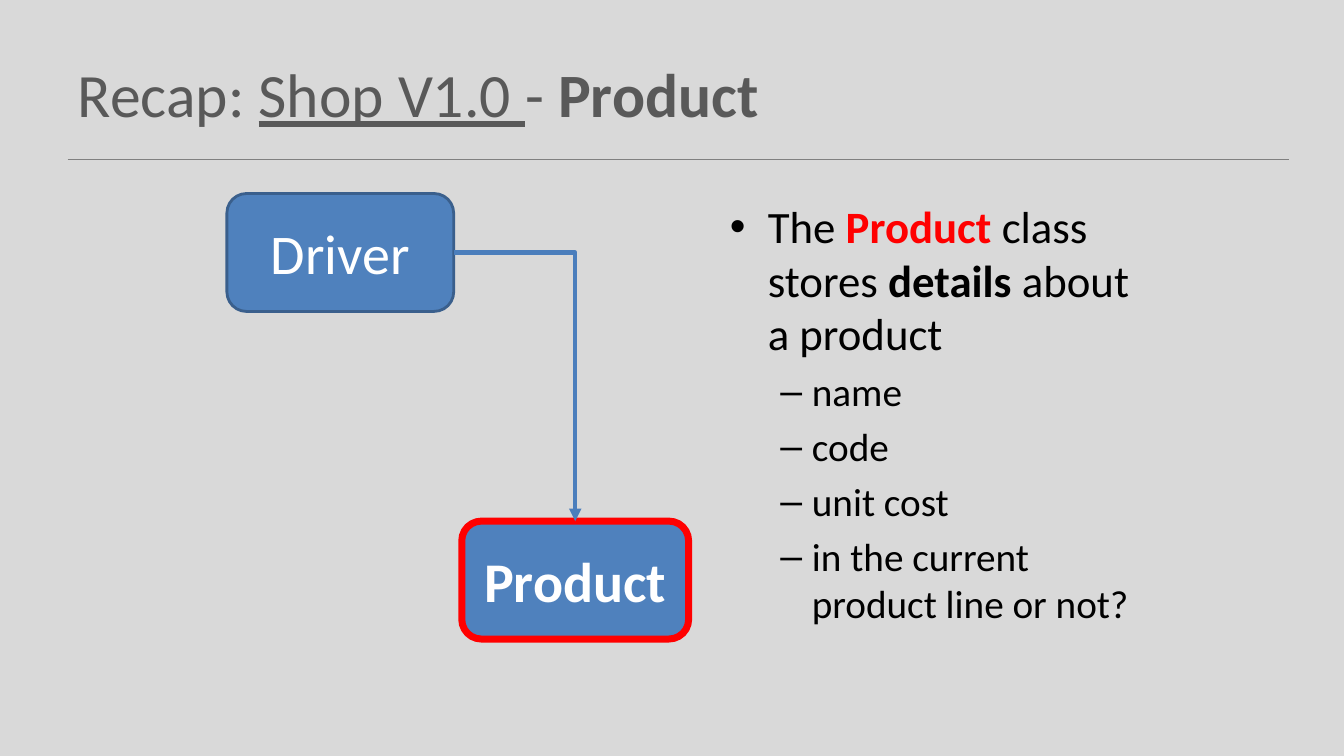
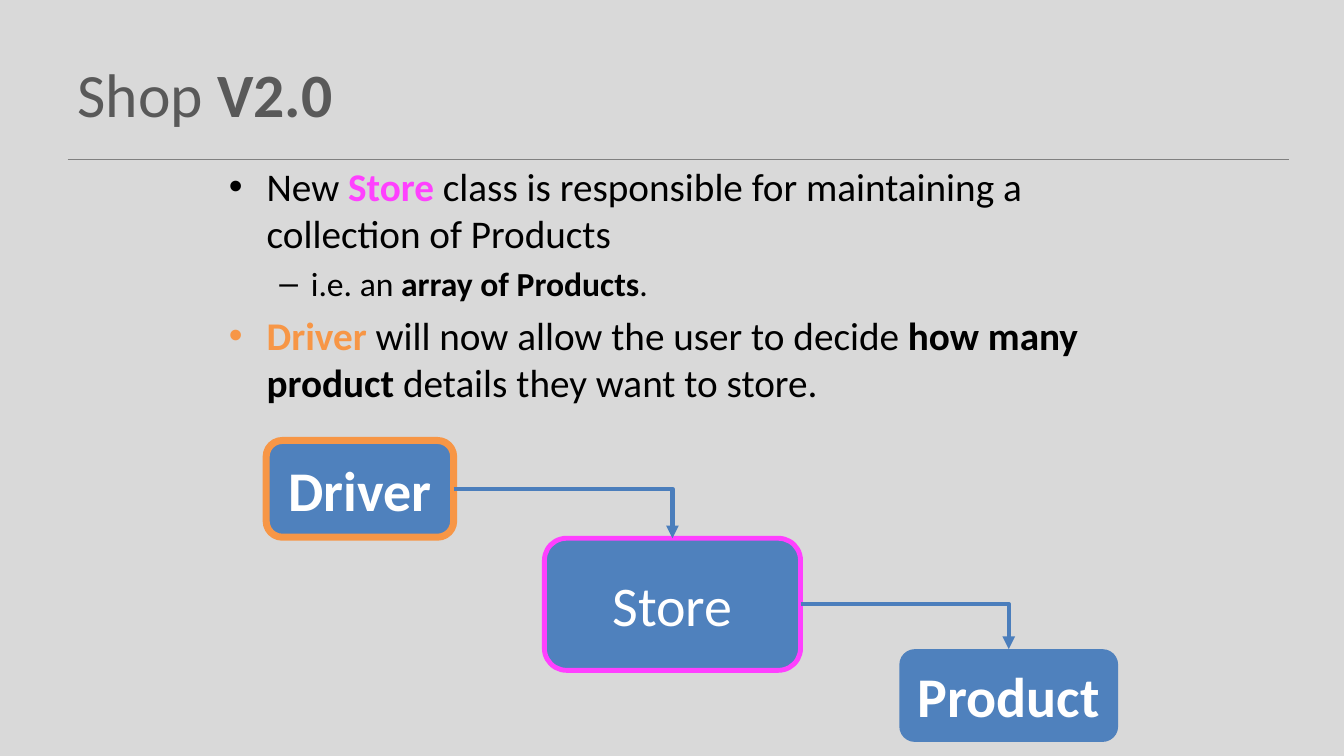
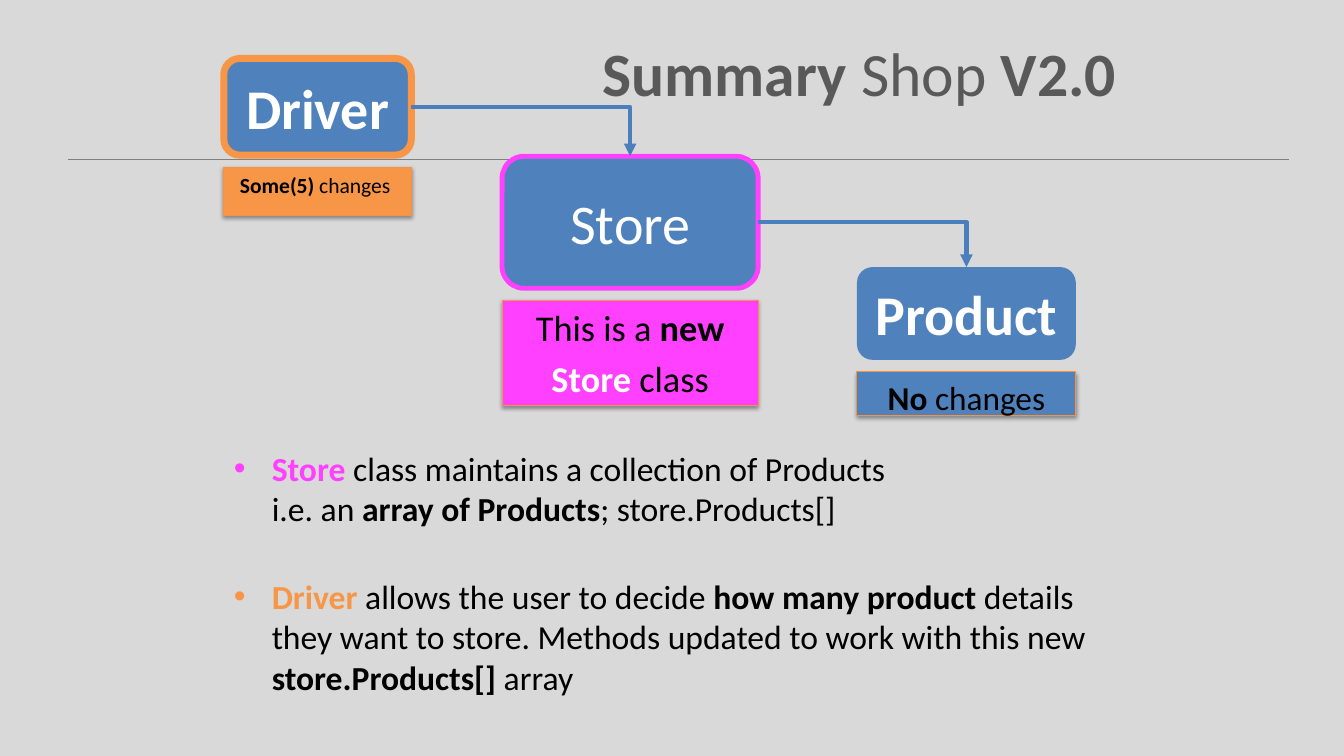
import pptx
import pptx.util
import pptx.dml.color
import pptx.enum.shapes
import pptx.enum.text
import pptx.oxml
import pptx.oxml.ns

Inches, Pt = pptx.util.Inches, pptx.util.Pt
ALIGN = pptx.enum.text.PP_ALIGN
ANCHOR = pptx.enum.text.MSO_ANCHOR
SHAPE = pptx.enum.shapes.MSO_SHAPE
CONNECTOR = pptx.enum.shapes.MSO_CONNECTOR

# Shared look
FONT = "Calibri"
BACKGROUND, RULE, TITLE = "D9D9D9", "808080", "595959"
BLUE, ARROW, OUTLINE = "4F81BD", "4B7EBC", "3A5F8C"
RED, PINK, ORANGE, NOTE_LINE = "FF0000", "FF40FF", "F79646", "F69240"
BLACK, WHITE = "000000", "FFFFFF"
TITLE_AREA = (0.67, 0.3, 12, 1.25)
NOTE_GAP = 0.12
RIGHT_SITE, TOP_SITE = 3, 0

# Content: a run is a string or (text, flags, colour); "\n" is a line break.
# A class box is: name, area, bold, outline colour, outline width.
CHAIN = [
    ("Driver", (0, 0, 1.86, 0.96), True, ORANGE, 5),
    ("Store", (2.76, 0.97, 2.54, 1.31), False, PINK, 3.5),
    ("Product", (6.28, 2.07, 2.17, 0.92), True, None, 0),
]

SLIDES = [
    dict(
        title=["Recap: ", ("Shop V1.0 ", "u"), "- ", ("Product", "b")],
        body_area=(7.14, 1.92, 4.17, 4.95),
        # level, size, space before, runs
        body=[
            (0, 32, 0, ["The ", ("Product", "b", RED), " class stores ",
                        ("details", "b"), " about a product"]),
            (1, 28, None, ["name"]),
            (1, 28, None, ["code"]),
            (1, 28, None, ["unit cost"]),
            (1, 28, None, ["in the current product line or not?"]),
        ],
        origin=(2.25, 1.92),
        boxes=[
            ("Driver", (0, 0, 2.25, 1.17), False, OUTLINE, 2),
            ("Product", (2.33, 3.25, 2.25, 1.17), True, RED, 5),
        ],
    ),
    dict(
        title=["Shop ", ("V2.0", "b")],
        body_area=(2.17, 1.56, 9.08, 2.75),
        body=[
            (0, 28, 0, ["New ", ("Store ", "b", PINK),
                        "class is responsible for maintaining a collection of Products"]),
            (1, 24, None, ["i.e. an ", ("array of Products", "b"), "."]),
            (0, 28, None, [("Driver ", "b", ORANGE),
                           "will now allow the user to decide ",
                           ("how many product ", "b"),
                           "details they want to store."]),
        ],
        origin=(2.64, 4.37),
        boxes=CHAIN,
    ),
    dict(
        title=[("Summary", "b"), " Shop ", ("V2.0", "b")],
        title_area=(2.17, 0.3, 9, 0.83),
        title_align=ALIGN.RIGHT,
        body_area=(2.22, 4.39, 9.08, 3),
        body=[
            (0, 24, 0, [("Store ", "b", PINK), "class maintains a collection of Products",
                        "\n", "i.e. an ", ("array of Products", "b"),
                        "; store.Products[]"]),
            (0, 24, 34, [("Driver ", "b", ORANGE), "allows the user to decide ",
                         ("how many product ", "b"),
                         "details they want to store. Methods updated to work with this new ",
                         ("store.Products[]", "b"), " array"]),
        ],
        origin=(2.22, 0.58),
        boxes=CHAIN,
        # box name: fill, text size, height, lines
        notes={
            "Driver": (ORANGE, 15.4, 0.48, [[("Some(5)", "b"), " changes "]]),
            "Store": (PINK, 25.9, 1.04, [["This is a ", ("new", "b")],
                                         [("Store ", "b", WHITE), "class"]]),
            "Product": (BLUE, 23.8, 0.43, [[("No", "b"), " changes"]]),
        },
    ),
]


def rgb(colour):
    return pptx.dml.color.RGBColor.from_string(colour)


def place(shape, area):
    shape.left, shape.top, shape.width, shape.height = map(Inches, area)


def write_runs(paragraph, runs, size, colour):
    for item in runs:
        if item == "\n":
            paragraph.add_line_break()
            continue
        text, flags, *special = (item, "") if isinstance(item, str) else item
        run = paragraph.add_run()
        run.text = text
        font = run.font
        font.name, font.size = FONT, Pt(size)
        font.bold = "b" in flags
        font.underline = "u" in flags
        font.color.rgb = rgb(special[0] if special else colour)


def paragraphs(text_frame, count):
    while len(text_frame.paragraphs) < count:
        text_frame.add_paragraph()
    return text_frame.paragraphs


def draw_line(shapes, kind, start, end, colour, width):
    line = shapes.add_connector(kind, *map(Inches, start + end))
    line.line.color.rgb, line.line.width = rgb(colour), Pt(width)
    line.element.spPr.append(pptx.oxml.parse_xml(
        f"<a:effectLst {pptx.oxml.ns.nsdecls('a')}/>"))
    return line


def draw_arrow(slide, source, target):
    arrow = draw_line(slide.shapes, CONNECTOR.ELBOW, (0, 0), (1, 1), ARROW, 3)
    arrow.begin_connect(source, RIGHT_SITE)
    arrow.end_connect(target, TOP_SITE)
    properties = arrow.element.spPr
    properties.find(pptx.oxml.ns.qn("a:prstGeom")).set("prst", "bentConnector2")
    properties.find(pptx.oxml.ns.qn("a:ln")).append(pptx.oxml.parse_xml(
        f"<a:tailEnd {pptx.oxml.ns.nsdecls('a')} type='triangle'/>"))


def draw_shape(slide, kind, area, fill, line, width):
    shape = slide.shapes.add_shape(kind, *map(Inches, area))
    shape.shadow.inherit = False
    shape.fill.solid()
    shape.fill.fore_color.rgb = rgb(fill)
    if line:
        shape.line.color.rgb, shape.line.width = rgb(line), Pt(width)
    else:
        shape.line.fill.background()
    shape.text_frame.word_wrap = True
    return shape


def draw_box(slide, origin, name, area, bold, line, width):
    left, top = origin[0] + area[0], origin[1] + area[1]
    box = draw_shape(slide, SHAPE.ROUNDED_RECTANGLE, (left, top) + area[2:],
                     BLUE, line, width)
    box.text_frame.vertical_anchor = ANCHOR.MIDDLE
    paragraph = box.text_frame.paragraphs[0]
    paragraph.alignment = ALIGN.CENTER
    write_runs(paragraph, [(name, "b" if bold else "")], 40, WHITE)
    return box


def draw_note(slide, box, fill, size, height, lines):
    top = box.top.inches + box.height.inches + NOTE_GAP
    area = (box.left.inches, top, box.width.inches, height)
    note = draw_shape(slide, SHAPE.RECTANGLE, area, fill, NOTE_LINE, 0.75)
    effects = note.element.spPr.find(pptx.oxml.ns.qn("a:effectLst"))
    effects.append(pptx.oxml.parse_xml(
        f"<a:outerShdw {pptx.oxml.ns.nsdecls('a')} blurRad='{int(Pt(3.1))}' "
        f"dist='{int(Pt(1.6))}' dir='5400000' rotWithShape='0'>"
        f"<a:srgbClr val='{BLACK}'><a:alpha val='38000'/></a:srgbClr></a:outerShdw>"))
    note.text_frame.vertical_anchor = ANCHOR.TOP
    for index, paragraph in enumerate(paragraphs(note.text_frame, len(lines))):
        paragraph.alignment = ALIGN.CENTER
        paragraph.space_before = Pt(round(0.2 * size, 1) if index else 0)
        write_runs(paragraph, lines[index], size, BLACK)


def build_slide(presentation, layout, content):
    slide = presentation.slides.add_slide(layout)

    # Title
    title = slide.shapes.title
    place(title, content.get("title_area", TITLE_AREA))
    title.text_frame.auto_size = pptx.enum.text.MSO_AUTO_SIZE.NONE
    title.text_frame.vertical_anchor = ANCHOR.MIDDLE
    paragraph = title.text_frame.paragraphs[0]
    paragraph.alignment = content.get("title_align", ALIGN.LEFT)
    write_runs(paragraph, content["title"], 44, TITLE)

    # Bulleted list
    body = slide.placeholders[1]
    place(body, content["body_area"])
    body.text_frame.auto_size = pptx.enum.text.MSO_AUTO_SIZE.NONE
    items = content["body"]
    for paragraph, (level, size, space, runs) in zip(
            paragraphs(body.text_frame, len(items)), items):
        paragraph.level = level
        if space is not None:
            paragraph.space_before = Pt(space)
        write_runs(paragraph, runs, size, BLACK)

    # Class diagram
    boxes = {box[0]: draw_box(slide, content["origin"], *box)
             for box in content["boxes"]}
    chain = list(boxes.values())
    for source, target in zip(chain, chain[1:]):
        draw_arrow(slide, source, target)
    for name, note in content.get("notes", {}).items():
        draw_note(slide, boxes[name], *note)
    return slide


def main():
    presentation = pptx.Presentation()
    presentation.slide_width, presentation.slide_height = Inches(13.33), Inches(7.5)

    # Background and title rule shared by every slide
    fill = presentation.slide_master.background.fill
    fill.solid()
    fill.fore_color.rgb = rgb(BACKGROUND)
    layout = presentation.slide_layouts.get_by_name("Title and Content")
    slides = [build_slide(presentation, layout, content) for content in SLIDES]
    rule = draw_line(slides[0].shapes, CONNECTOR.STRAIGHT,
                     (0.67, 1.58), (12.78, 1.58), RULE, 1)
    layout.shapes.element.append(rule.element)

    presentation.save("out.pptx")


if __name__ == "__main__":
    main()
